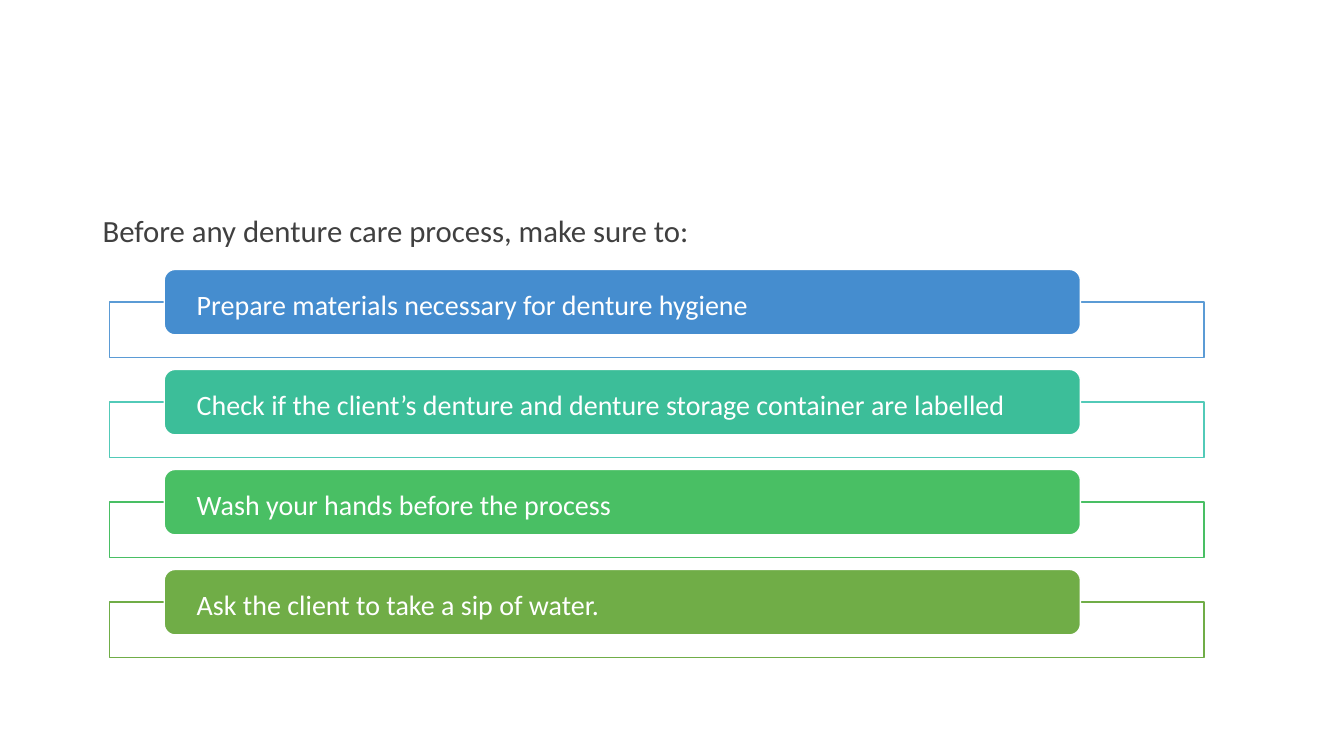
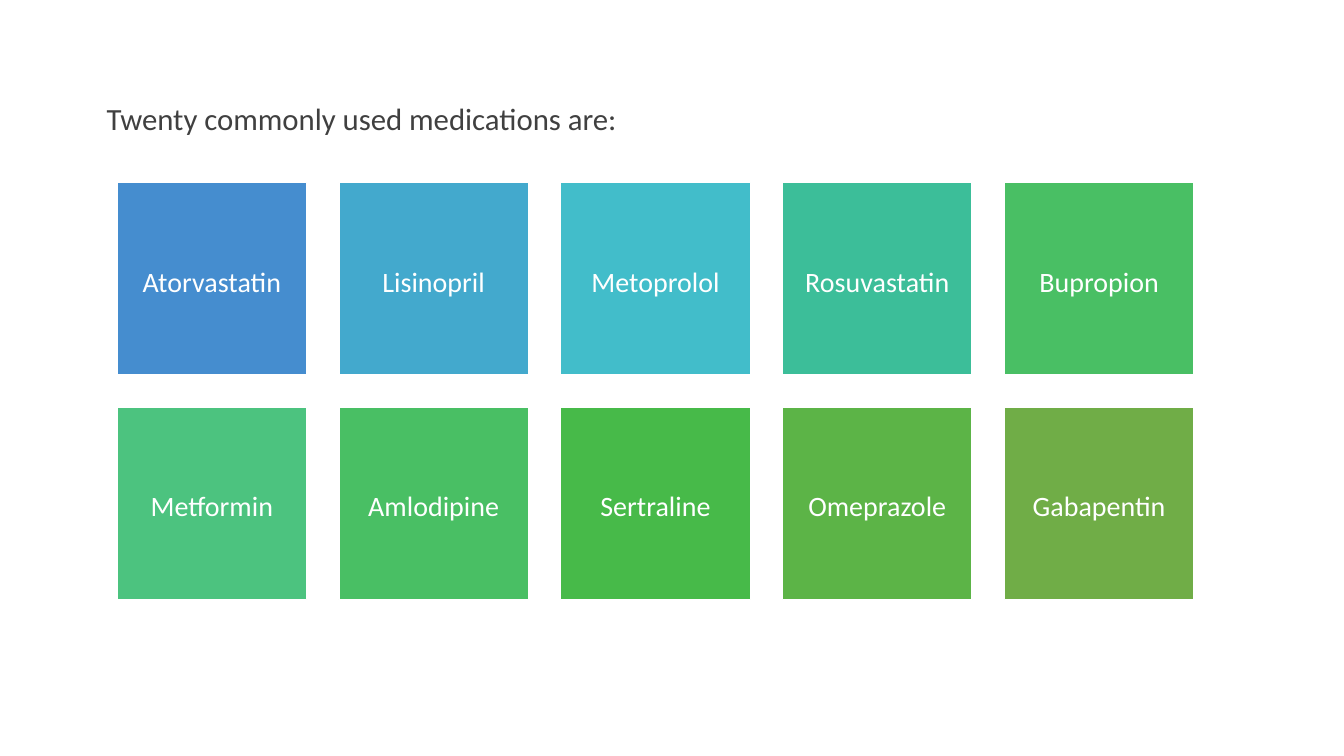
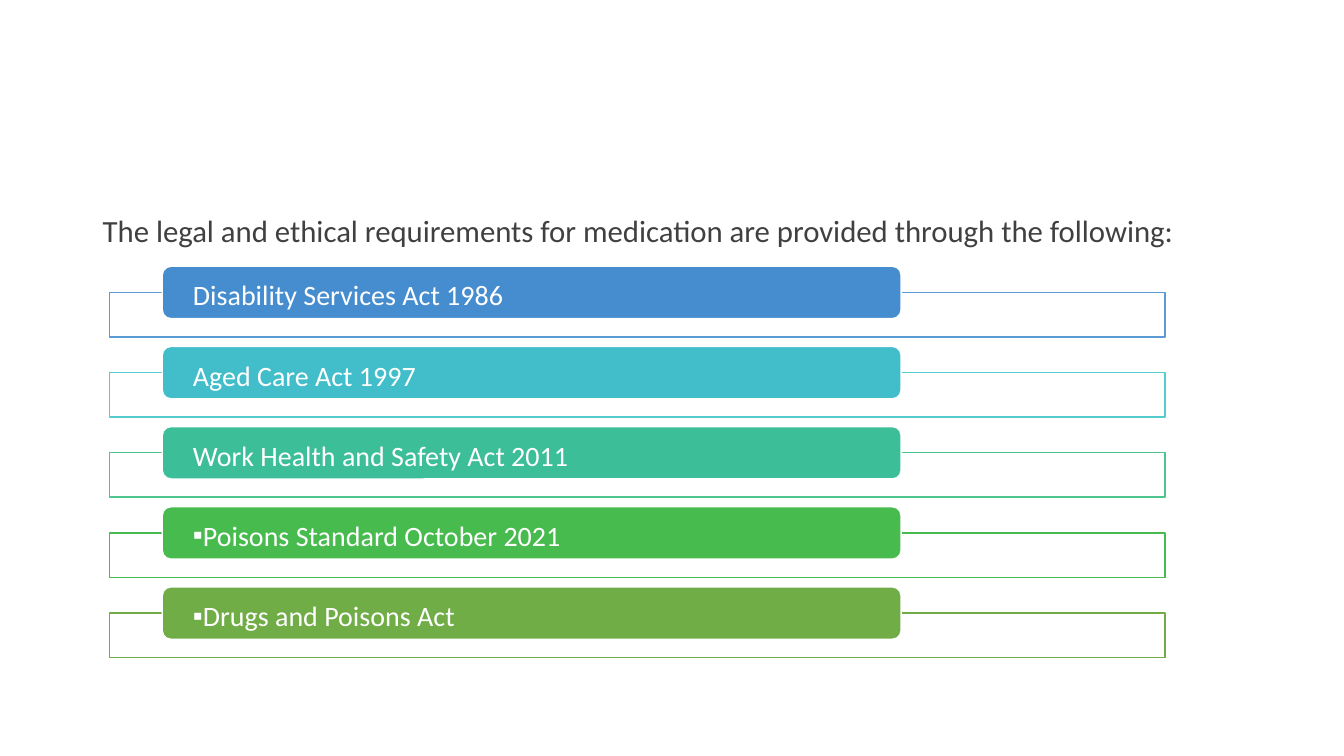
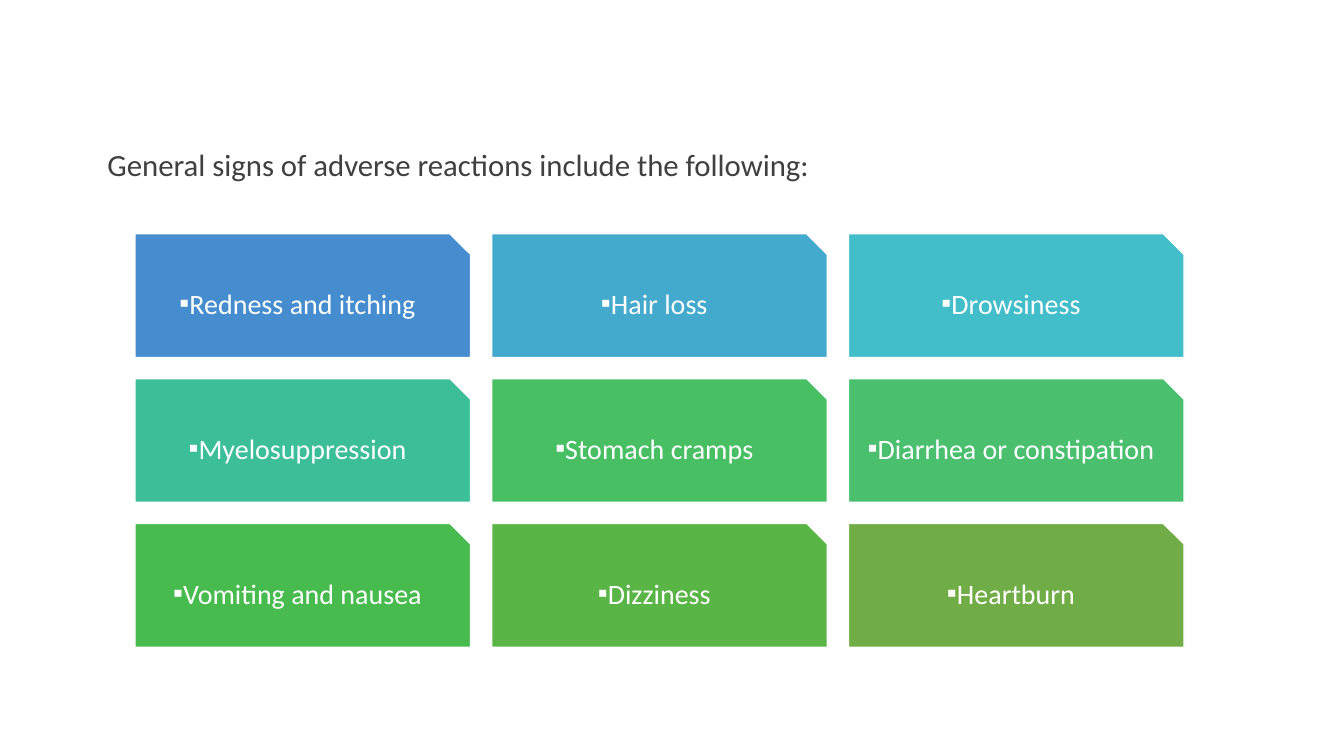
from lxml.etree import SubElement
from pptx import Presentation
from pptx.dml.color import RGBColor
from pptx.enum.shapes import MSO_SHAPE
from pptx.enum.text import MSO_ANCHOR, PP_ALIGN
from pptx.oxml.ns import qn
from pptx.util import Cm, Pt

FONT = "Calibri"
BULLET_FONT = "Arial"
LINE_SPACING = 1.14
COLORS = {
    "text": "404040",
    "white": "FFFFFF",
    "blue": "458DCF",
    "light_blue": "5B9BD5",
    "sky": "43A9CD",
    "cyan": "42BDCA",
    "light_cyan": "54CCCD",
    "teal": "3CBE99",
    "light_teal": "52CAB8",
    "sea": "4DC58D",
    "mint": "4CC37F",
    "jade": "4AC06E",
    "emerald": "49BF64",
    "green": "48BB4F",
    "grass": "47BA49",
    "leaf": "5CB447",
    "fern": "59B546",
    "olive": "70AD47",
}


def color(name):
    return RGBColor.from_string(COLORS[name])


def write(frame, text, size, text_color, align=PP_ALIGN.LEFT, bullet=False):
    """Fill a text frame with one paragraph in the shared style."""
    frame.word_wrap = True
    paragraph = frame.paragraphs[0]
    paragraph.text = text
    paragraph.alignment = align
    paragraph.line_spacing = LINE_SPACING
    paragraph.space_after = Pt(6)
    if bullet:
        properties = paragraph._p.get_or_add_pPr()
        properties.set("marL", "0")
        properties.set("indent", "0")
        SubElement(properties, qn("a:buFont")).set("typeface", BULLET_FONT)
        SubElement(properties, qn("a:buChar")).set("char", "▪")
    paragraph.font.name = FONT
    paragraph.font.size = Pt(size)
    paragraph.font.color.rgb = color(text_color)


def add_lead_slide(deck, lead, left, top):
    """Add a blank slide that opens with a lead sentence."""
    slide = deck.slides.add_slide(deck.slide_layouts[6])
    box = slide.shapes.add_textbox(Cm(left), Cm(top), Cm(28.02), Cm(1.4))
    write(box.text_frame, lead, 22, "text")
    return slide


def add_block(slide, kind, left, top, width, height, fill, line="white"):
    block = slide.shapes.add_shape(kind, Cm(left), Cm(top), Cm(width), Cm(height))
    block.shadow.inherit = False
    block.fill.solid()
    block.fill.fore_color.rgb = color(fill)
    block.line.color.rgb = color(line)
    block.line.width = Pt(1)
    return block


def label(block, text, inset_x, inset_y, align, bullet):
    frame = block.text_frame
    frame.margin_left = frame.margin_right = Cm(inset_x)
    frame.margin_top = frame.margin_bottom = Cm(inset_y)
    frame.vertical_anchor = MSO_ANCHOR.MIDDLE
    write(frame, text, 20, "white", align, bullet)


def add_bar_list(slide, items, top, pitch, frame_size, bar_size, inset):
    """Stack framed bars; items are (text, bar colour, frame colour, bullet)."""
    left = 2.76
    frame_width, frame_height = frame_size
    bar_width, bar_height = bar_size
    bar_left = left + 0.05 * frame_width
    for index, (text, fill, line, bullet) in enumerate(items):
        bar_top = top + index * pitch
        add_block(slide, MSO_SHAPE.RECTANGLE, left, bar_top + bar_height / 2,
                  frame_width, frame_height, "white", line)
        bar = add_block(slide, MSO_SHAPE.ROUNDED_RECTANGLE, bar_left, bar_top,
                        bar_width, bar_height, fill)
        label(bar, text, inset, 0, PP_ALIGN.LEFT, bullet)


def add_card_grid(slide, kind, cards, columns, origin, size, gap, bullet=False):
    """Lay out (text, colour) cards row by row."""
    left, top = origin
    width, height = size
    for index, (text, fill) in enumerate(cards):
        row, column = divmod(index, columns)
        card = add_block(slide, kind, left + column * (width + gap),
                         top + row * (height + gap), width, height, fill)
        label(card, text, 0.2, 0.2, PP_ALIGN.CENTER, bullet)


def main():
    deck = Presentation()
    deck.slide_width, deck.slide_height = Cm(33.87), Cm(19.05)

    # Denture care preparation
    preparation = add_lead_slide(
        deck, "Before any denture care process, make sure to:", 2.34, 5.08)
    add_bar_list(preparation, [
        ("Prepare materials necessary for denture hygiene", "blue", "light_blue", False),
        ("Check if the client’s denture and denture storage container are labelled",
         "teal", "light_teal", False),
        ("Wash your hands before the process", "emerald", "emerald", False),
        ("Ask the client to take a sip of water.", "olive", "olive", False),
    ], top=6.79, pitch=2.52, frame_size=(27.58, 1.4), bar_size=(23.09, 1.65),
        inset=0.74)

    # Common medications
    medications = add_lead_slide(
        deck, "Twenty commonly used medications are:", 2.44, 2.26)
    add_card_grid(medications, MSO_SHAPE.RECTANGLE, [
        ("Atorvastatin", "blue"), ("Lisinopril", "sky"), ("Metoprolol", "cyan"),
        ("Rosuvastatin", "teal"), ("Bupropion", "emerald"),
        ("Metformin", "mint"), ("Amlodipine", "emerald"), ("Sertraline", "grass"),
        ("Omeprazole", "leaf"), ("Gabapentin", "olive"),
    ], columns=5, origin=(2.95, 4.6), size=(4.78, 4.85), gap=0.81)

    # Legal and ethical requirements
    legislation = add_lead_slide(
        deck, "The legal and ethical requirements for medication are provided "
        "through the following:", 2.34, 5.08)
    add_bar_list(legislation, [
        ("Disability Services Act 1986", "blue", "light_blue", False),
        ("Aged Care Act 1997", "cyan", "light_cyan", False),
        ("Work Health and Safety Act 2011", "teal", "sea", False),
        ("Poisons Standard October 2021", "green", "green", True),
        ("Drugs and Poisons Act", "olive", "olive", True),
    ], top=6.71, pitch=2.02, frame_size=(26.6, 1.12), bar_size=(18.62, 1.32),
        inset=0.71)

    # Adverse reactions
    reactions = add_lead_slide(
        deck, "General signs of adverse reactions include the following:", 2.46, 3.43)
    add_card_grid(reactions, MSO_SHAPE.SNIP_1_RECTANGLE, [
        ("Redness and itching", "blue"), ("Hair loss", "sky"), ("Drowsiness", "cyan"),
        ("Myelosuppression", "teal"), ("Stomach cramps", "emerald"),
        ("Diarrhea or constipation", "jade"),
        ("Vomiting and nausea", "green"), ("Dizziness", "fern"), ("Heartburn", "olive"),
    ], columns=3, origin=(3.4, 5.89), size=(8.46, 3.12), gap=0.53, bullet=True)

    deck.save("out.pptx")


if __name__ == "__main__":
    main()
